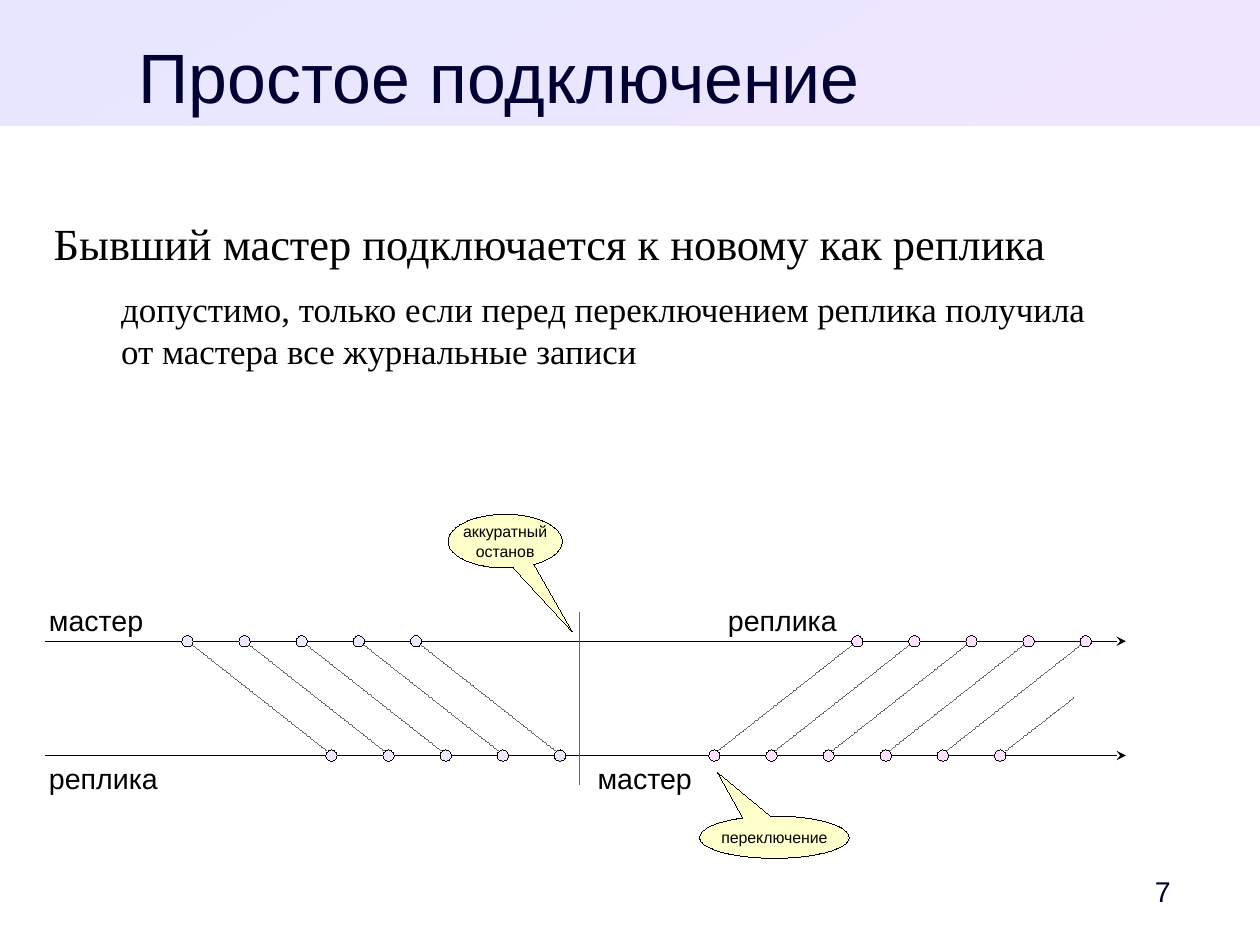
from lxml import etree
from pptx import Presentation
from pptx.dml.color import RGBColor
from pptx.enum.dml import MSO_LINE
from pptx.enum.shapes import MSO_CONNECTOR, MSO_SHAPE
from pptx.enum.text import MSO_ANCHOR, MSO_AUTO_SIZE, PP_ALIGN
from pptx.oxml.ns import qn
from pptx.util import Inches, Pt

STRAIGHT = MSO_CONNECTOR.STRAIGHT
RECTANGLE, OVAL = MSO_SHAPE.RECTANGLE, MSO_SHAPE.OVAL
CALLOUT = MSO_SHAPE.OVAL_CALLOUT
DASH = MSO_LINE.SQUARE_DOT
LEFT, CENTER = PP_ALIGN.LEFT, PP_ALIGN.CENTER
TOP, MIDDLE = MSO_ANCHOR.TOP, MSO_ANCHOR.MIDDLE
GROW, FIXED = MSO_AUTO_SIZE.SHAPE_TO_FIT_TEXT, MSO_AUTO_SIZE.NONE

BLACK, NAVY, GRAY, YELLOW = "000000", "000033", "666666", "FFFFCC"
LAVENDER, PINK = "F0E6FF", "FFE1FF"
PADDING = (0.1, 0.05, 0.1, 0.05)
NO_PADDING = (0, 0, 0, 0)
WIDTH, HEIGHT = 28 / 2.54, 21 / 2.54
UPPER, LOWER = 5.61, 6.61
STEP, DOT = 0.5, 0.1


def color(value):
    """Turn a hex string into a colour."""
    return RGBColor.from_string(value)


def apply(target, values):
    """Set the attributes of an object from a dict."""
    for name, value in values.items():
        setattr(target, name, value)


def drop_theme_style(shape):
    """Remove the theme style so that hairlines stay thin."""
    element = shape._element
    element.remove(element.find(qn("p:style")))


class TimelineSlide:
    """Hold the current slide and draw its elements in one style."""

    def __init__(self, slide, font="Arial"):
        """Remember the slide and the main font."""
        self.slide = slide
        self.font = font

    def shape(self, kind, box, fill):
        """Add a preset shape with a hairline outline."""
        shape = self.slide.shapes.add_shape(kind, *map(Inches, box))
        drop_theme_style(shape)
        shape.shadow.inherit = False
        shape.fill.solid()
        shape.fill.fore_color.rgb = color(fill)
        shape.line.color.rgb = color(BLACK)
        shape.line.width = Pt(0)
        return shape

    def banner(self, box, colors, angle):
        """Add the gradient band behind the title."""
        shape = self.shape(RECTANGLE, box, colors[0])
        shape.line.fill.background()
        shape.fill.gradient()
        shape.fill.gradient_angle = angle
        for stop, value in zip(shape.fill.gradient_stops, colors):
            stop.color.rgb = color(value)

    def frame(self, shape, padding, wrap, anchor, size_rule):
        """Format the text frame of a shape."""
        left, top, right, bottom = map(Inches, padding)
        apply(shape.text_frame, {
            "margin_left": left, "margin_top": top,
            "margin_right": right, "margin_bottom": bottom,
            "word_wrap": wrap, "vertical_anchor": anchor, "auto_size": size_rule,
        })
        return shape.text_frame

    def paragraph(self, paragraph, text, size, ink=BLACK, align=LEFT,
                  font=None, after=0, indent=0):
        """Fill and format one paragraph."""
        paragraph.text = text
        apply(paragraph, {"alignment": align, "space_after": Pt(after)})
        if indent:
            apply(paragraph, {"level": 1})
            properties = paragraph._p.get_or_add_pPr()
            properties.set("marL", str(Inches(indent)))
            properties.set("indent", "0")
        for run in paragraph.runs:
            apply(run.font, {"name": font or self.font, "size": Pt(size)})
            run.font.color.rgb = color(ink)

    def text(self, box, paragraphs, padding=PADDING, wrap=True, anchor=TOP,
             size_rule=GROW):
        """Add a text box from a list of paragraph formats."""
        shape = self.slide.shapes.add_textbox(*map(Inches, box))
        frame = self.frame(shape, padding, wrap, anchor, size_rule)
        for index, values in enumerate(paragraphs):
            target = frame.add_paragraph() if index else frame.paragraphs[0]
            self.paragraph(target, **values)

    def callout(self, box, pointer, lines):
        """Add a speech balloon with a pointer."""
        shape = self.shape(CALLOUT, box, YELLOW)
        for index, value in enumerate(pointer):
            shape.adjustments[index] = value
        frame = self.frame(shape, PADDING, False, MIDDLE, FIXED)
        for index, line in enumerate(lines):
            target = frame.add_paragraph() if index else frame.paragraphs[0]
            self.paragraph(target, line, 10, align=CENTER)

    def line(self, start, end, ink=GRAY, dash=None, arrow=False):
        """Add a hairline, dashed or with an arrowhead on request."""
        connector = self.slide.shapes.add_connector(
            STRAIGHT, *map(Inches, (*start, *end)))
        drop_theme_style(connector)
        connector.line.color.rgb = color(ink)
        apply(connector.line, {"width": Pt(0), "dash_style": dash})
        if arrow:
            outline = connector.line._get_or_add_ln()
            etree.SubElement(outline, qn("a:tailEnd"), type="stealth")
        etree.SubElement(connector._element.spPr, qn("a:effectLst"))

    def dots(self, first, middle, count, fill):
        """Add a row of evenly spaced dots on a time axis."""
        for index in range(count):
            left = first + index * STEP - DOT / 2
            self.shape(OVAL, (left, middle - DOT / 2, DOT, DOT), fill)

    def links(self, start, end, count):
        """Add parallel dashed links at the spacing of the dots."""
        for index in range(count):
            shift = index * STEP
            self.line((start[0] + shift, start[1]), (end[0] + shift, end[1]), dash=DASH)


def main():
    """Build the slide and save it."""
    presentation = Presentation()
    presentation.slide_width = Inches(WIDTH)
    presentation.slide_height = Inches(HEIGHT)
    page = TimelineSlide(presentation.slides.add_slide(presentation.slide_layouts[6]))

    page.banner((0, 0, WIDTH, 1.1), ("E6E6FF", LAVENDER), 300)
    page.text((9.69, 7.56, 0.87, 0.47),
              [{"text": "7", "size": 18, "ink": NAVY, "align": CENTER}],
              padding=(0.1, 0.05, 0, 0.05), anchor=MIDDLE)
    page.text((0.47, 0.29, 7.8, 0.69),
              [{"text": "Простое подключение", "size": 44, "ink": NAVY, "align": CENTER}],
              padding=NO_PADDING)
    body = {"font": "Times New Roman", "after": 11.3}
    page.text((0.47, 1.89, 10.08, 5.67), [
        {"text": "Бывший мастер подключается к новому как реплика", "size": 28, **body},
        {"text": "допустимо, только если перед переключением реплика получила\n"
                 "от мастера все журнальные записи", "size": 22, "indent": 0.59, **body},
    ], padding=NO_PADDING, size_rule=FIXED)

    for axis in (UPPER, LOWER):
        page.line((0.39, axis), (9.85, axis), ink=BLACK, arrow=True)
    page.line((5.07, 5.36), (5.07, 6.86))

    page.links((1.68, 5.64), (2.86, 6.57), 5)
    page.links((6.28, 6.57), (7.46, 5.64), 5)
    page.line((8.8, 6.57), (9.4, 6.1), dash=DASH)

    for first, axis, count, fill in (
        (1.64, UPPER, 5, LAVENDER),
        (2.9, LOWER, 5, LAVENDER),
        (6.25, LOWER, 6, PINK),
        (7.5, UPPER, 5, PINK),
    ):
        page.dots(first, axis, count, fill)

    for left, top, width, label in (
        (0.33, 5.23, 1.04, "мастер"),
        (5.13, 6.61, 1.04, "мастер"),
        (0.33, 6.61, 1.16, "реплика"),
        (6.27, 5.23, 1.16, "реплика"),
    ):
        page.text((left, top, width, 0.38), [{"text": label, "size": 18}], wrap=False)

    page.callout((3.92, 4.5, 1, 0.47), (0.59, 1.69), ("аккуратный", "останов"))
    page.callout((6.12, 7.14, 1.31, 0.37), (-0.38, -1.54), ("переключение",))

    presentation.save("out.pptx")


if __name__ == "__main__":
    main()
